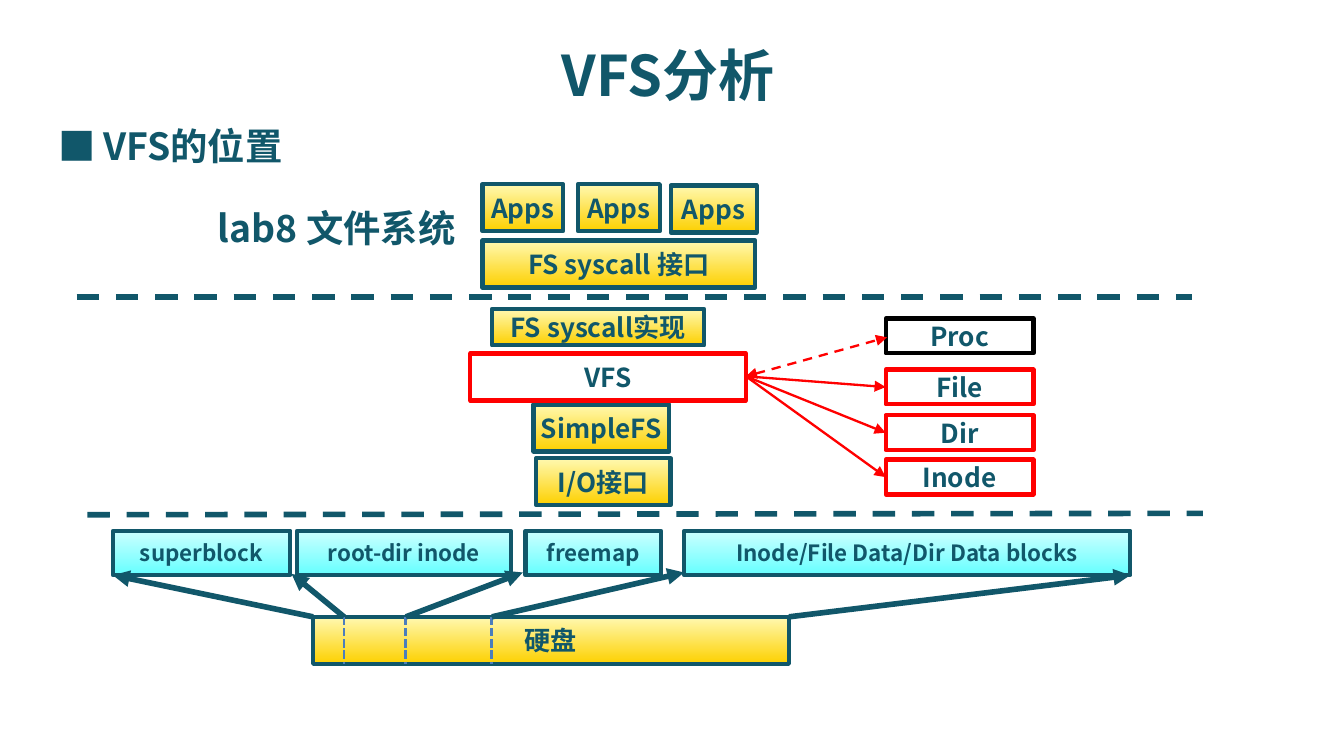
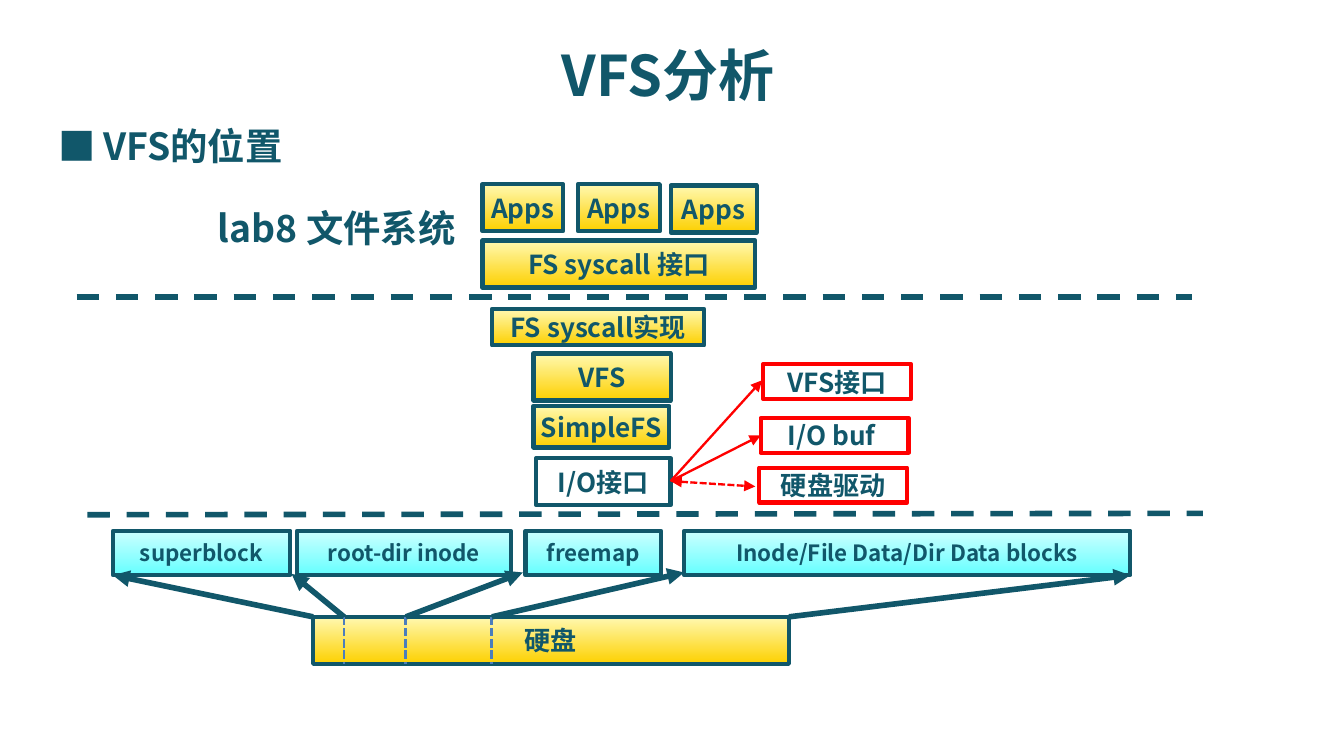
from lxml import etree
from pptx import Presentation
from pptx.dml.color import RGBColor
from pptx.enum.dml import MSO_LINE
from pptx.enum.shapes import MSO_CONNECTOR, MSO_SHAPE
from pptx.enum.text import MSO_ANCHOR, PP_ALIGN
from pptx.oxml.ns import qn
from pptx.util import Inches, Pt

RECT = MSO_SHAPE.RECTANGLE
STRAIGHT = MSO_CONNECTOR.STRAIGHT
DASH, DOTS = MSO_LINE.DASH, MSO_LINE.SQUARE_DOT
LEFT, CENTER = PP_ALIGN.LEFT, PP_ALIGN.CENTER
MIDDLE = MSO_ANCHOR.MIDDLE

COLORS = {
    "teal": "11576A", "red": "FF0000", "black": "000000", "white": "FFFFFF",
    "blue": "4B7EBC", "cream": "FFF9B1", "gold": "FDD000",
    "ice": "CCFFFF", "cyan": "66FFFF",
}
GOLD = ("cream", "gold")
CYAN = ("ice", "cyan")
WHITE = ("white",)
FONT = "Noto Sans CJK SC"
MARK_FONT = "Noto Sans CJK JP"

DISK_L, DISK_W, DISK_TOP, DISK_H = 2.33, 3.54, 4.59, 0.35
CUTS = (2.56, 3.02, 3.66)


def color(name):
    return RGBColor.from_string(COLORS[name])


def add_run(frame, text, size, align, font=FONT):
    para = frame.paragraphs[0]
    para.alignment = align
    run = para.add_run()
    run.text = text
    run.font.size = Pt(size)
    run.font.bold = True
    run.font.name = font
    run.font.color.rgb = color("teal")
    east = etree.SubElement(run._r.get_or_add_rPr(), qn("a:ea"))
    east.set("typeface", font)


def add_label(slide, text, at, size=20, align=LEFT, font=FONT):
    frame = slide.shapes.add_textbox(*map(Inches, at)).text_frame
    frame.word_wrap = True
    add_run(frame, text, size, align, font)


def add_box(slide, text, at, fill=GOLD, edge="teal", size=14):
    """Draw a framed box; two fill names make a gradient from top to bottom."""
    box = slide.shapes.add_shape(RECT, *map(Inches, at))
    box.shadow.inherit = False
    if len(fill) == 1:
        box.fill.solid()
        box.fill.fore_color.rgb = color(fill[0])
    else:
        box.fill.gradient()
        box.fill.gradient_angle = 270
        for stop, name in zip(box.fill.gradient_stops, fill):
            stop.color.rgb = color(name)
    box.line.color.rgb = color(edge)
    box.line.width = Pt(2.25)
    frame = box.text_frame
    frame.word_wrap = False
    frame.vertical_anchor = MIDDLE
    add_run(frame, text, size, CENTER)


def add_line(slide, start, end, edge="teal", width=3, dash=None, heads=()):
    """Draw a line; heads lists the ends ("head", "tail") that get an arrow."""
    link = slide.shapes.add_connector(STRAIGHT, *map(Inches, start + end))
    link.line.color.rgb = color(edge)
    link.line.width = Pt(width)
    if dash:
        link.line.dash_style = dash
    props = link._element.spPr
    for side in heads:
        tip = etree.SubElement(props.find(qn("a:ln")), qn(f"a:{side}End"))
        tip.set("type", "triangle")
    etree.SubElement(props, qn("a:effectLst"))


def add_disk(slide):
    """Draw the disk, its cuts and the blocks that they point to."""
    add_box(slide, "硬盘", (DISK_L, DISK_TOP, DISK_W, DISK_H))
    for text, left, width in (
        ("superblock", 0.84, 1.32),
        ("root-dir inode", 2.21, 1.59),
        ("freemap", 3.91, 1.01),
        ("Inode/File Data/Dir Data blocks", 5.09, 3.32),
    ):
        add_box(slide, text, (left, 3.95, width, 0.33), CYAN, size=12)
    for cut in CUTS:
        add_line(slide, (cut, DISK_TOP), (cut, DISK_TOP + DISK_H),
                 "blue", 1.5, DOTS)
    starts = (DISK_L, *CUTS, DISK_L + DISK_W)
    ends = ((0.84, 4.28), (2.17, 4.27), (3.89, 4.26), (5.09, 4.26),
            (8.41, 4.28))
    for left, end in zip(starts, ends):
        add_line(slide, (left, DISK_TOP), end, heads=("tail",))


def add_base(deck):
    """Add a slide with everything that both slides share."""
    slide = deck.slides.add_slide(deck.slide_layouts[6])
    add_label(slide, "VFS分析", (0.47, 0.25, 9, 0.56), 30, CENTER)
    add_label(slide, "VFS的位置", (0.67, 0.87, 3.59, 0.47))
    add_label(slide, "■", (0.34, 0.87, 0.47, 0.44), font=MARK_FONT)
    add_label(slide, "lab8 文件系统", (1.52, 1.48, 2.08, 0.45))
    add_disk(slide)
    for left, top, width in ((3.59, 1.37, 0.6), (4.3, 1.37, 0.61),
                             (4.99, 1.38, 0.64)):
        add_box(slide, "Apps", (left, top, width, 0.35))
    add_box(slide, "FS syscall 接口", (3.59, 1.79, 2.03, 0.35))
    add_box(slide, "FS syscall实现", (3.66, 2.3, 1.58, 0.27))
    add_line(slide, (0.57, 2.21), (8.87, 2.21), dash=DASH)
    add_line(slide, (0.65, 3.83), (8.95, 3.82), dash=DASH)
    return slide


def add_fan(slide, hub, parts):
    """Link the hub to parts of (text, left, top, edge, tip, dash)."""
    for text, left, top, edge, tip, dash in parts:
        add_box(slide, text, (left, top, 1.1, 0.26), WHITE, edge)
        heads = ("head", "tail") if dash else ("tail",)
        add_line(slide, hub, tip, "red", 1.25, dash, heads)


def add_vfs(deck):
    slide = add_base(deck)
    add_box(slide, "I/O接口", (3.99, 3.41, 1, 0.35))
    add_box(slide, "SimpleFS", (3.97, 3.01, 1.01, 0.35))
    add_box(slide, "VFS", (3.5, 2.63, 2.05, 0.35), WHITE, "red")
    add_fan(slide, (5.55, 2.8), (
        ("File", 6.59, 2.75, "red", (6.59, 2.88), None),
        ("Dir", 6.59, 3.09, "red", (6.59, 3.22), None),
        ("Inode", 6.59, 3.42, "red", (6.59, 3.55), None),
        ("Proc", 6.59, 2.37, "black", (6.6, 2.51), DASH),
    ))


def add_io(deck):
    slide = add_base(deck)
    add_box(slide, "I/O接口", (3.99, 3.41, 1, 0.35), WHITE)
    add_box(slide, "SimpleFS", (3.97, 3.02, 1.01, 0.31))
    add_box(slide, "VFS", (3.97, 2.63, 1.02, 0.35))
    add_fan(slide, (4.99, 3.58), (
        ("I/O buf ", 5.66, 3.11, "red", (5.66, 3.24), None),
        ("硬盘驱动", 5.65, 3.48, "red", (5.62, 3.62), DOTS),
        ("VFS接口", 5.68, 2.71, "red", (5.67, 2.83), None),
    ))


def main():
    deck = Presentation()
    deck.slide_width = Inches(10)
    deck.slide_height = Inches(10) * 9 // 16
    add_vfs(deck)
    add_io(deck)
    deck.save("out.pptx")


if __name__ == "__main__":
    main()
